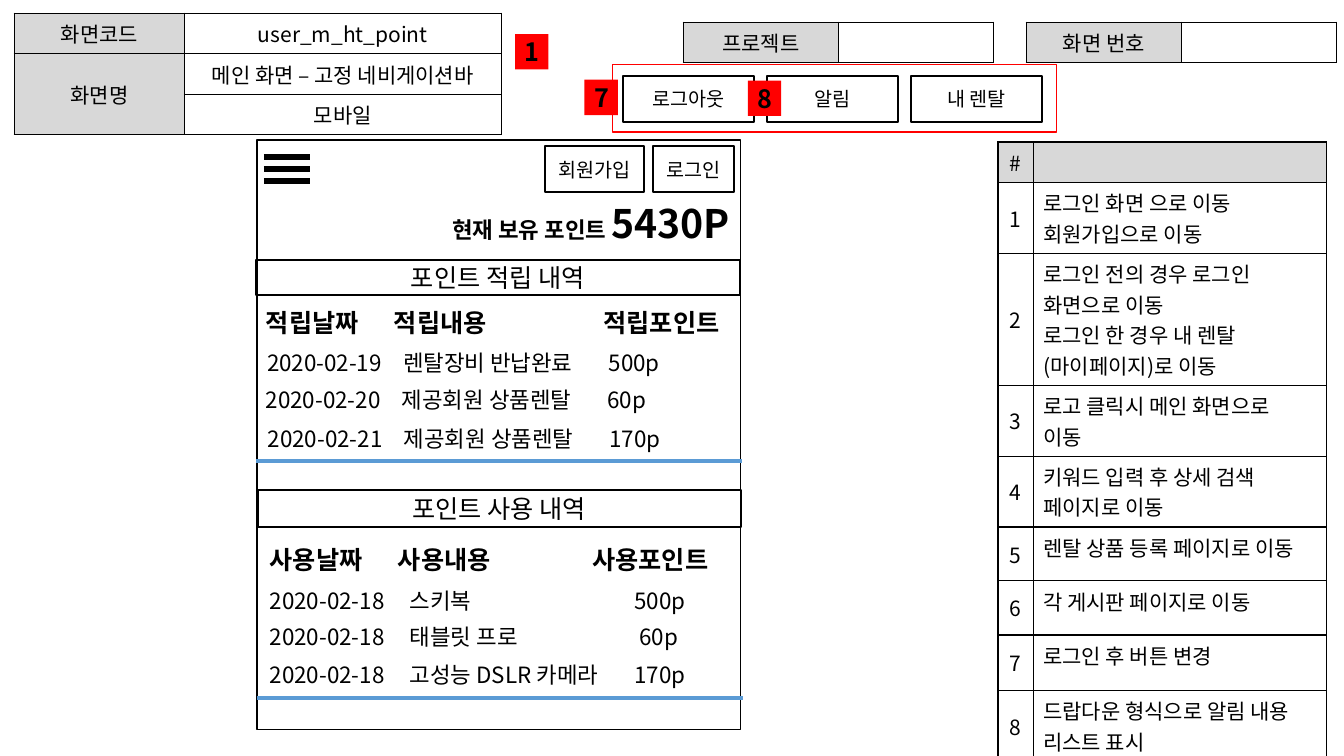
from lxml import etree
from pptx import Presentation
from pptx.dml.color import RGBColor
from pptx.enum.shapes import MSO_CONNECTOR, MSO_SHAPE
from pptx.enum.text import MSO_ANCHOR, PP_ALIGN
from pptx.oxml.ns import qn
from pptx.util import Cm, Pt

LEFT, CENTER, RIGHT = PP_ALIGN.LEFT, PP_ALIGN.CENTER, PP_ALIGN.RIGHT
TOP, MIDDLE = MSO_ANCHOR.TOP, MSO_ANCHOR.MIDDLE
RECTANGLE = MSO_SHAPE.RECTANGLE
STRAIGHT = MSO_CONNECTOR.STRAIGHT

THEME = {
    "font": "Noto Sans CJK KR",
    "black": "000000", "white": "FFFFFF", "gray": "D8D8D8", "red": "FF0000", "blue": "5B9BD5",
    "cell": 15, "button": 14, "row": 16, "title": 18, "balance": 28,
}


def write(frame, paragraphs, size, bold=False, align=CENTER, tabs=()):
    for index, text in enumerate(paragraphs):
        paragraph = frame.paragraphs[0] if index == 0 else frame.add_paragraph()
        paragraph.alignment = align
        if tabs:
            tab_list = etree.SubElement(paragraph._p.get_or_add_pPr(), qn("a:tabLst"))
            for position in tabs:
                etree.SubElement(tab_list, qn("a:tab"), pos=str(Cm(position)), algn="l")
        for part, part_size in ([(text, size)] if isinstance(text, str) else text):
            run = paragraph.add_run()
            run.text = part
            formats = {"name": THEME["font"], "size": Pt(part_size), "bold": bold}
            for name, value in formats.items():
                setattr(run.font, name, value)
            run.font.color.rgb = RGBColor.from_string(THEME["black"])
            etree.SubElement(run._r.get_or_add_rPr(), qn("a:ea"), typeface=THEME["font"])


def add_line(left, top, right, color, width):
    line = slide.shapes.add_connector(STRAIGHT, Cm(left), Cm(top), Cm(right), Cm(top))
    line.line.color.rgb = RGBColor.from_string(THEME[color])
    line.line.width = Pt(width)
    etree.SubElement(line._element.spPr, qn("a:effectLst"))


presentation = Presentation()
presentation.slide_width, presentation.slide_height = Cm(33.87), Cm(19.05)
slide = presentation.slides.add_slide(presentation.slide_layouts[6])

screen_rows = [("화면코드", "user_m_ht_point"), ("화면명", "메인 화면 – 고정 네비게이션바"), ("", "모바일")]
guide_rows = [
    ("#", ""),
    ("1", "로그인 화면 으로 이동\n회원가입으로 이동"),
    ("2", "로그인 전의 경우 로그인 화면으로 이동\n로그인 한 경우 내 렌탈(마이페이지)로 이동"),
    ("3", "로고 클릭시 메인 화면으로 이동"),
    ("4", "키워드 입력 후 상세 검색 페이지로 이동"),
    ("5", "렌탈 상품 등록 페이지로 이동"),
    ("6", "각 게시판 페이지로 이동"),
    ("7", "로그인 후 버튼 변경"),
    ("8", "드랍다운 형식으로 알림 내용 리스트 표시"),
]
guide_heights = [0.91, 1.35, 1.24, 1.42, 1.27, 1.35, 1.37, 1.4, 1.4]
tables = [
    (0.36, 0.33, [4.29, 7.98], [0.76] * 3, screen_rows),
    (25.86, 0.56, [3.91, 3.91], [0.74], [("화면 번호", "")]),
    (17.22, 0.56, [3.91, 3.91], [0.74], [("프로젝트", "")]),
    (25.15, 3.58, [0.89, 7.39], guide_heights, guide_rows),
]
for left, top, widths, heights, rows in tables:
    table = slide.shapes.add_table(len(rows), 2, Cm(left), Cm(top), Cm(sum(widths)), Cm(sum(heights))).table
    table.first_row = table.horz_banding = False
    for column, width in zip(table.columns, widths):
        column.width = Cm(width)
    for row, height in zip(table.rows, heights):
        row.height = Cm(height)
    is_guide = rows is guide_rows
    for row_index, row in enumerate(rows):
        for column_index, text in enumerate(row):
            cell = table.cell(row_index, column_index)
            is_label = row_index == 0 if is_guide else column_index == 0
            is_note = is_guide and column_index == 1
            cell.fill.solid()
            cell.fill.fore_color.rgb = RGBColor.from_string(THEME["gray" if is_label else "white"])
            cell.vertical_anchor = TOP if is_note else MIDDLE
            if is_note:
                cell.margin_right = Cm(0.6)
            if text:
                write(cell.text_frame, text.split("\n"), THEME["cell"], align=LEFT if is_note else CENTER)
            else:
                paragraph = cell.text_frame.paragraphs[0]
                etree.SubElement(paragraph._p, qn("a:endParaRPr"), sz=str(THEME["cell"] * 100))
            properties = cell._tc.get_or_add_tcPr()
            for position, side in enumerate(("lnL", "lnR", "lnT", "lnB")):
                border = etree.Element(qn("a:" + side), w=str(Pt(1)))
                fill = etree.SubElement(border, qn("a:solidFill"))
                etree.SubElement(fill, qn("a:srgbClr"), val=THEME["black"])
                properties.insert(position, border)
    if rows is screen_rows:
        table.cell(1, 0).merge(table.cell(2, 0))

buttons = [(15.7 + 3.63 * index, 1.91, 3.3, 1.17, text) for index, text in enumerate(["로그아웃", "알림", "내 렌탈"])]
buttons += [(16.46, 3.68, 2.03, 1.17, "로그인"), (13.74, 3.68, 2.49, 1.17, "회원가입")]
titles = [(6.45, 6.55, 12.19, 0.89, "포인트 적립 내역"), (6.5, 12.34, 12.17, 0.94, "포인트 사용 내역")]
frames = [(15.44, 1.63, 11.18, 1.7, "")]
phone = [(6.48, 3.53, 12.19, 14.86, "")]
markers = [(left, top, 0.84, 0.89, text) for left, top, text in [(12.98, 0.86, "1"), (14.73, 2.01, "7"), (18.85, 2.03, "8")]]
box_groups = [
    (phone, None, "black", 1, "row", False),
    (buttons, None, "black", 1.5, "button", False),
    (titles, None, "black", 1.5, "title", False),
    (frames, None, "red", 1, "row", False),
    (markers, "red", None, 0, "title", True),
]
for boxes, fill, outline, width, size, bold in box_groups:
    for left, top, box_width, height, text in boxes:
        shape = slide.shapes.add_shape(RECTANGLE, Cm(left), Cm(top), Cm(box_width), Cm(height))
        shape.shadow.inherit = False
        if fill:
            shape.fill.solid()
            shape.fill.fore_color.rgb = RGBColor.from_string(THEME[fill])
        else:
            shape.fill.background()
        if outline:
            shape.line.color.rgb = RGBColor.from_string(THEME[outline])
            shape.line.width = Pt(width)
        else:
            shape.line.fill.background()
        shape.text_frame.vertical_anchor = MIDDLE
        if text:
            write(shape.text_frame, [text], THEME[size], bold)

for index in range(3):
    add_line(6.65, 3.96 + 0.3 * index, 7.8, "black", 4.5)
for left, top in [(6.45, 11.61), (6.48, 17.58)]:
    add_line(left, top, left + 12.24, "blue", 3)

balance = [("현재 보유 포인트 ", THEME["row"]), ("5430P", THEME["balance"])]
text_lines = [
    (6.45, 5.13, 12.19, 0.97, balance, "row", True, RIGHT, ()),
    (6.45, 7.8, 17.65, 0.64, "적립날짜\t적립내용\t적립포인트", "title", True, LEFT, (3.23, 8.51)),
    (6.55, 13.72, 12.12, 0.74, "사용날짜\t사용내용\t사용포인트", "title", True, LEFT, (3.23, 8.13)),
]
earned = [
    (6.48, 8.81, "2020-02-19\t렌탈장비 반납완료\t500p"),
    (6.45, 9.75, "2020-02-20\t제공회원 상품렌탈\t60p"),
    (6.5, 10.72, "2020-02-21\t제공회원 상품렌탈\t170p"),
]
used = [
    (14.73, "2020-02-18\t스키복\t500p", 9.19),
    (15.65, "2020-02-18\t태블릿 프로\t60p", 9.32),
    (16.61, "2020-02-18\t고성능 DSLR 카메라\t170p", 9.19),
]
text_lines += [(left, top, 17.65, 0.64, text, "row", False, LEFT, (3.43, 8.61)) for left, top, text in earned]
text_lines += [(6.55, top, 12.12, 0.79, text, "row", False, LEFT, (3.53, stop)) for top, text, stop in used]
for left, top, width, height, text, size, bold, align, tabs in text_lines:
    frame = slide.shapes.add_textbox(Cm(left), Cm(top), Cm(width), Cm(height)).text_frame
    frame.word_wrap = True
    frame.vertical_anchor = MIDDLE
    write(frame, [text], THEME[size], bold, align, tabs)

presentation.save("out.pptx")
